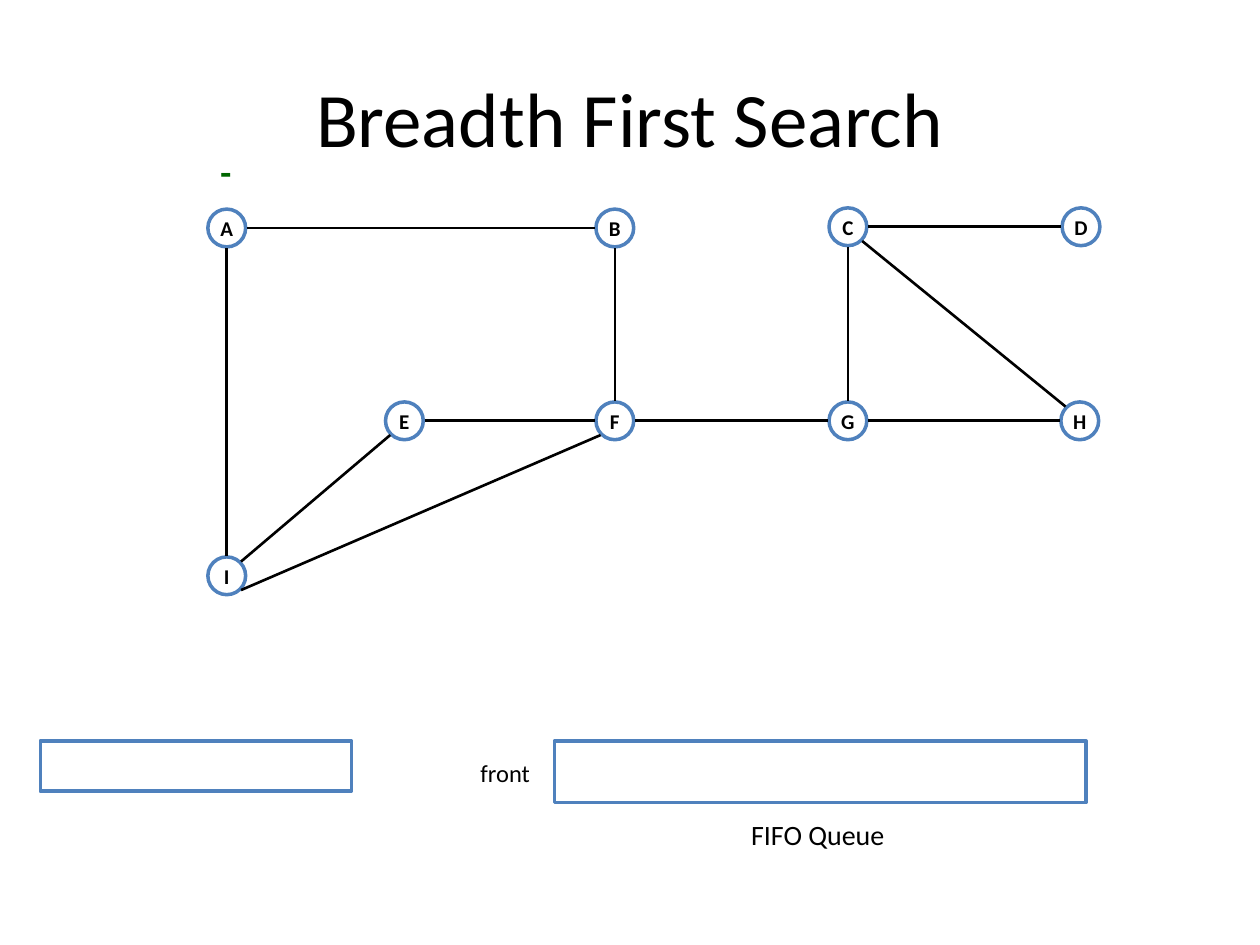
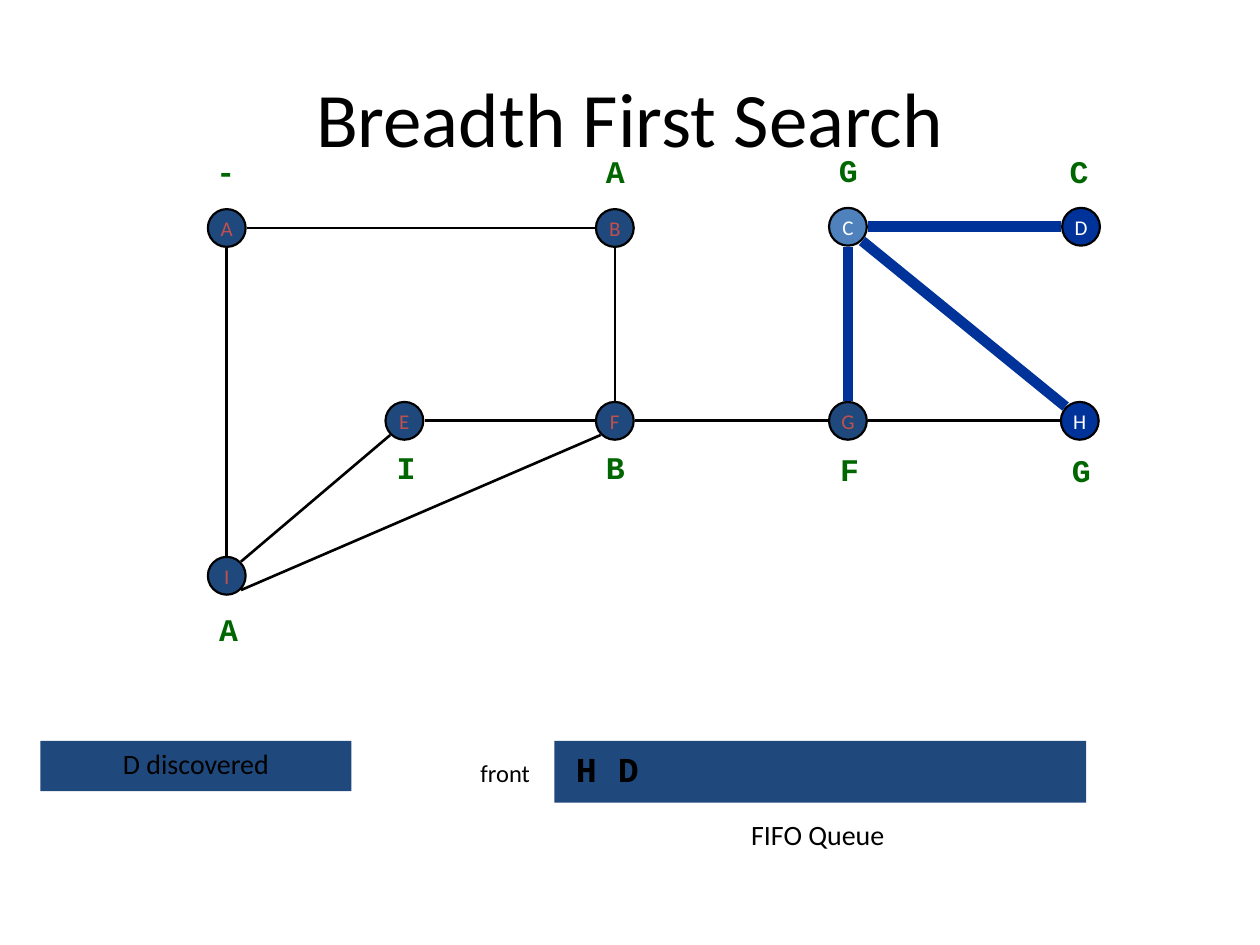
from dataclasses import dataclass, field
from math import hypot

from lxml import etree
from pptx import Presentation
from pptx.dml.color import RGBColor
from pptx.enum import shapes, text
from pptx.oxml import ns
from pptx.util import Inches, Pt


@dataclass(frozen=True)
class Theme:
    """Colours, fonts and type sizes shared by the slides."""
    black: str = "000000"
    white: str = "FFFFFF"
    blue: str = "4F81BD"
    navy: str = "1F497D"
    royal: str = "003399"
    red: str = "C0504D"
    green: str = "006600"
    sans: str = "Calibri"
    mono: str = "Courier New"
    title: int = 44
    queue: int = 20
    parent: int = 18
    caption: int = 16
    front: int = 14
    node: int = 12
    edge: float = 1.5
    active_edge: float = 6


T = Theme()
CENTER, LEFT = text.PP_ALIGN.CENTER, text.PP_ALIGN.LEFT
NODE_SIZE, EDGE_REACH = 0.3, 0.16


@dataclass(frozen=True)
class Font:
    size: float
    color: str = T.black
    name: str = T.sans
    bold: bool = False


@dataclass(frozen=True)
class Look:
    """Fill and outline of a shape, with the font inside it."""
    fill: str
    line: str | None
    width: float
    font: Font


@dataclass(frozen=True)
class Node:
    x: float
    y: float
    parent_x: float
    parent_y: float


@dataclass(frozen=True)
class Edge:
    """Two nodes and the side of each, as (right, down), where the line ends."""
    start: str
    end: str
    start_side: tuple[int, int]
    end_side: tuple[int, int]


@dataclass(frozen=True)
class Scene:
    """One step of the search."""
    looks: dict[str, Look]
    panel: Look
    parents: dict[str, str]
    active: set[str] = field(default_factory=set)
    status: str = ""
    queue: str = ""


# Graph
NODES = {
    "A": Node(1.65, 1.66, 1.62, 1.16),
    "B": Node(4.73, 1.66, 4.71, 1.16),
    "C": Node(6.58, 1.65, 6.56, 1.15),
    "D": Node(8.43, 1.65, 8.39, 1.16),
    "E": Node(3.06, 3.19, 3.05, 3.51),
    "F": Node(4.73, 3.19, 4.71, 3.51),
    "G": Node(6.58, 3.19, 6.57, 3.52),
    "H": Node(8.42, 3.19, 8.41, 3.53),
    "I": Node(1.65, 4.42, 1.64, 4.79),
}
RIGHT_SIDE, LEFT_SIDE, TOP, BOTTOM = (1, 0), (-1, 0), (0, -1), (0, 1)
EDGES = [
    *(Edge(a, b, RIGHT_SIDE, LEFT_SIDE) for a, b in ("AB", "EF", "FG", "GH", "CD")),
    *(Edge(a, b, BOTTOM, TOP) for a, b in ("AI", "BF", "CG")),
    Edge("I", "E", (1, -1), (-1, 1)),
    Edge("I", "F", (1, 1), (-1, 1)),
    Edge("C", "H", (1, 1), (-1, -1)),
]

# Looks of the nodes and panels
UNSEEN = Look(T.white, T.blue, 2, Font(T.node, bold=True))
DONE = Look(T.navy, T.black, 1.25, Font(T.node, T.red))
CURRENT = Look(T.blue, T.black, 1.25, Font(T.node, T.white))
QUEUED = Look(T.royal, T.black, 1.25, Font(T.node, T.white))
EMPTY_PANEL = Look(T.white, T.blue, 2, Font(T.caption))
FILLED_PANEL = Look(T.navy, None, 0, Font(T.caption))

SCENES = [
    Scene(dict.fromkeys(NODES, UNSEEN), EMPTY_PANEL, {"A": "-"}),
    Scene(
        dict.fromkeys("ABEFGI", DONE) | {"C": CURRENT} | dict.fromkeys("DH", QUEUED),
        FILLED_PANEL,
        dict(zip("ABCDEFGHI", "-AGCIBFGA")),
        {"CD", "CG", "CH"}, "D discovered", "H D",
    ),
]


def rgb(color: str) -> RGBColor:
    return RGBColor.from_string(color)


def write(tf, words: str, font: Font, align=CENTER) -> None:
    p = tf.paragraphs[0]
    p.alignment = align
    r = p.add_run()
    r.text = words
    r.font.size, r.font.name, r.font.bold = Pt(font.size), font.name, font.bold
    r.font.color.rgb = rgb(font.color)


def add_shape(slide, kind, x: float, y: float, w: float, h: float, look: Look):
    sp = slide.shapes.add_shape(kind, Inches(x), Inches(y), Inches(w), Inches(h))
    sp.shadow.inherit = False
    sp.fill.solid()
    sp.fill.fore_color.rgb = rgb(look.fill)
    if look.line:
        sp.line.color.rgb = rgb(look.line)
        sp.line.width = Pt(look.width)
    else:
        sp.line.fill.background()
    return sp


def add_node(slide, name: str, look: Look) -> None:
    node = NODES[name]
    sp = add_shape(slide, shapes.MSO_SHAPE.OVAL, node.x, node.y, NODE_SIZE, NODE_SIZE, look)
    tf = sp.text_frame
    tf.word_wrap = False
    tf.vertical_anchor = text.MSO_ANCHOR.MIDDLE
    write(tf, name, look.font)


def edge_point(name: str, side: tuple[int, int]) -> tuple[int, int]:
    node, length = NODES[name], hypot(*side)
    return tuple(Inches(corner + NODE_SIZE / 2 + EDGE_REACH * step / length)
                 for corner, step in zip((node.x, node.y), side))


def add_edge(slide, edge: Edge, active: bool) -> None:
    line = slide.shapes.add_connector(
        shapes.MSO_CONNECTOR.STRAIGHT,
        *edge_point(edge.start, edge.start_side), *edge_point(edge.end, edge.end_side))
    line.line.color.rgb = rgb(T.royal if active else T.black)
    line.line.width = Pt(T.active_edge if active else T.edge)
    etree.SubElement(line._element.spPr, ns.qn("a:effectLst"))


def add_panel(slide, x: float, w: float, h: float, look: Look, words: str,
              font: Font, align=CENTER, indent: float = 0) -> None:
    sp = add_shape(slide, shapes.MSO_SHAPE.RECTANGLE, x, 5.88, w, h, look)
    if words:
        tf = sp.text_frame
        tf.margin_left, tf.margin_right = Inches(indent), 0
        tf.vertical_anchor = text.MSO_ANCHOR.TOP
        write(tf, words, font, align)


def add_label(slide, x: float, y: float, w: float, h: float, words: str,
              font: Font, align=CENTER) -> None:
    tf = slide.shapes.add_textbox(Inches(x), Inches(y), Inches(w), Inches(h)).text_frame
    tf.word_wrap = True
    tf.auto_size = text.MSO_AUTO_SIZE.SHAPE_TO_FIT_TEXT
    write(tf, words, font, align)


def add_title(slide, words: str) -> None:
    sp = slide.shapes.title
    sp.left, sp.top, sp.width, sp.height = (Inches(v) for v in (0.5, 0.3, 9, 1.25))
    sp.text_frame.vertical_anchor = text.MSO_ANCHOR.MIDDLE
    write(sp.text_frame, words, Font(T.title))


def build_scene(prs, scene: Scene) -> None:
    slide = prs.slides.add_slide(prs.slide_layouts[5])
    add_title(slide, "Breadth First Search")

    # Graph with the parent of each discovered node
    for name, look in scene.looks.items():
        add_node(slide, name, look)
    for edge in EDGES:
        add_edge(slide, edge, edge.start + edge.end in scene.active)
    parent_font = Font(T.parent, T.green, T.mono, True)
    for name, parent in scene.parents.items():
        node = NODES[name]
        add_label(slide, node.parent_x, node.parent_y, 0.37, 0.4, parent, parent_font, LEFT)

    # Status and queue
    add_panel(slide, 0.32, 2.47, 0.4, scene.panel, scene.status, scene.panel.font)
    add_panel(slide, 4.4, 4.22, 0.49, scene.panel, scene.queue,
              Font(T.queue, name=T.mono, bold=True), LEFT, 0.17)
    add_label(slide, 3.6, 5.97, 0.82, 0.33, "front", Font(T.front))
    add_label(slide, 4.4, 6.44, 4.18, 0.37, "FIFO Queue", Font(T.caption))


def main() -> None:
    prs = Presentation()
    prs.slide_width, prs.slide_height = Inches(10), Inches(7.5)
    for scene in SCENES:
        build_scene(prs, scene)
    prs.save("out.pptx")


if __name__ == "__main__":
    main()
